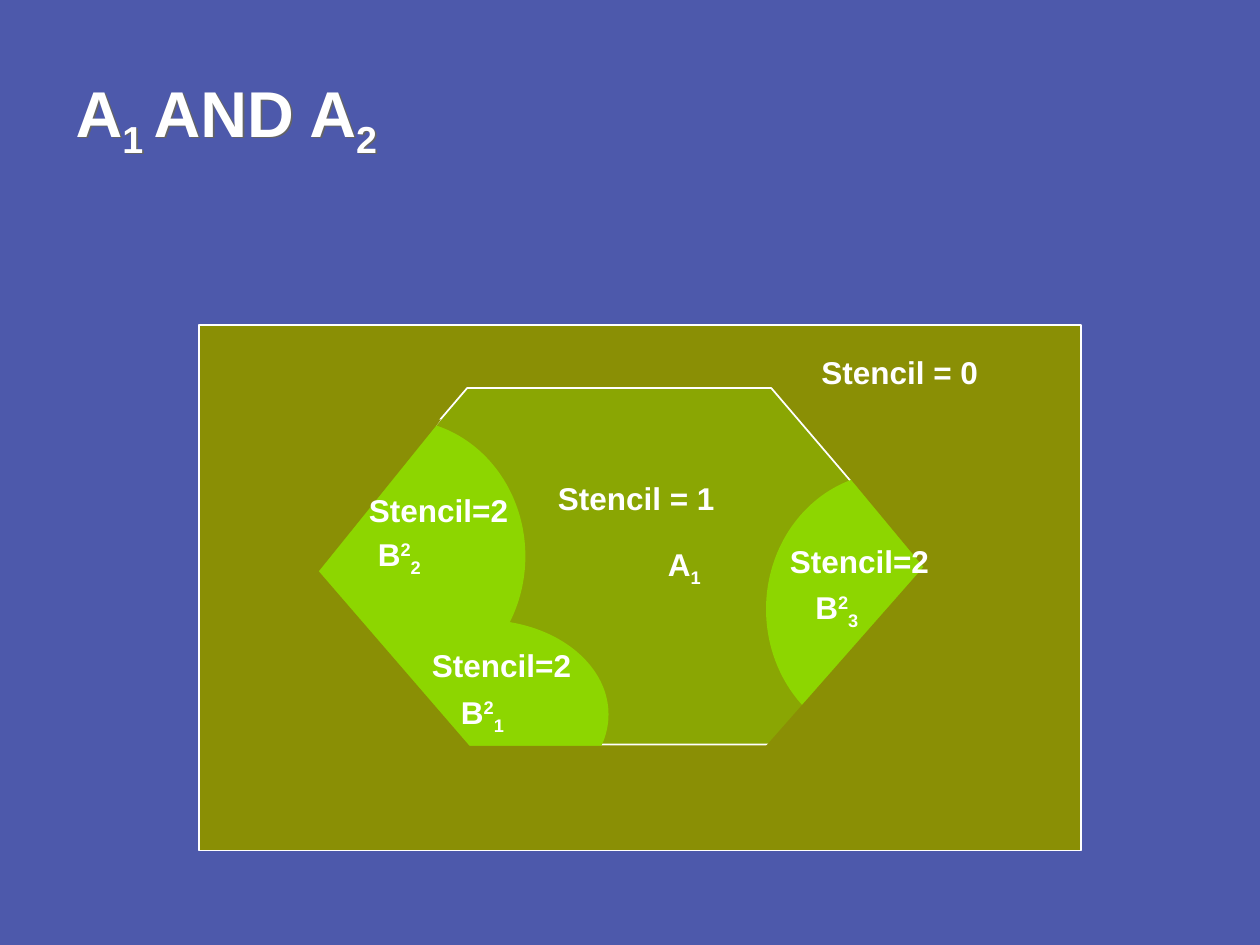
from lxml import etree
from pptx import Presentation
from pptx.dml.color import RGBColor
from pptx.enum import shapes, text
from pptx.oxml.ns import qn
from pptx.util import Inches, Pt

THEME = {
    "background": "4D59AB", "frame": "8A8F05", "region": "8DD600",
    "ink": "FFFFFF", "shadow": "646464",
    "font": "Arial", "title": 37, "body": 18, "line": 1,
}
SUB, SUPER = -25000, 30000

# Runs are (text, baseline) pairs.
TITLE = [("A", 0), ("1 ", SUB), ("AND A", 0), ("2", SUB)]
FRAME = (1.58, 2.58, 7, 4.17)
HEXAGON = (2.5, 3.08, 4.83, 2.83)
HEXAGON_NAME = [("A", 0), ("1", SUB)]
ELLIPSES = [  # index, box, alignment
    ("1", (2.83, 4.92, 2, 1.5), text.PP_ALIGN.CENTER),
    ("2", (2.17, 3.33, 2, 2.17), text.PP_ALIGN.CENTER),
    ("3", (6.08, 3.75, 2, 2.17), text.PP_ALIGN.LEFT),
]
# Frame-coloured masks trim the ellipses to the hexagon.
MASKS_LEFT = [
    [(3.5, 3.33), (2.42, 4.67), (1.92, 5.25), (2, 3.17)],
    [(2.5, 4.5), (4.08, 6.33), (1.92, 6.5)],
]
MASK_BOXES = [(1.75, 4.5, 0.75, 1), (3.17, 5.92, 1.67, 0.67)]
MASKS_RIGHT = [
    [(6.08, 5.92), (7.33, 4.5), (8.25, 4.5), (8.25, 5.92)],
    [(6.5, 3.5), (7.33, 4.5), (8.33, 4.5), (8.25, 3.5)],
]
LABEL_SIZE = (2.08, 0.4)
OUTER_LABELS = [("Stencil = 0", 6.42, 2.75), ("Stencil = 1", 4.33, 3.75)]
REGION_LABELS = [("Stencil=2", 3.33, 5.08), ("Stencil=2", 2.83, 3.85),
                 ("Stencil=2", 6.17, 4.25)]


def color(name):
    return RGBColor.from_string(THEME[name])


def write(tf, runs, size="body", align=text.PP_ALIGN.LEFT,
          anchor=text.MSO_ANCHOR.MIDDLE, wrap=False):
    tf.word_wrap = wrap
    tf.vertical_anchor = anchor
    p = tf.paragraphs[0]
    p.alignment = align
    for content, baseline in runs:
        r = p.add_run()
        r.text = content
        r.font.name, r.font.bold = THEME["font"], True
        r.font.size = Pt(THEME[size])
        r.font.color.rgb = color("ink")
        if baseline:
            r.font._element.set("baseline", str(baseline))


def add_shadow(sp):
    """Give an unfilled shape a shadow, which its text then casts."""
    sp.fill.background()
    effects = etree.SubElement(sp._element.spPr, qn("a:effectLst"))
    outer = etree.SubElement(effects, qn("a:outerShdw"),
                             dist="17961", dir="2700000")
    etree.SubElement(outer, qn("a:srgbClr"), val=THEME["shadow"])


def style(sp, fill, outlined=False):
    sp.shadow.inherit = False
    sp.fill.solid()
    sp.fill.fore_color.rgb = color(fill)
    if outlined:
        sp.line.color.rgb = color("ink")
        sp.line.width = Pt(THEME["line"])
    else:
        sp.line.fill.background()
    return sp


def add_preset(slide, kind, box, fill, outlined=False):
    sp = slide.shapes.add_shape(kind, *map(Inches, box))
    return style(sp, fill, outlined)


def add_mask(slide, points):
    start, *rest = [(Inches(x), Inches(y)) for x, y in points]
    builder = slide.shapes.build_freeform(*start)
    builder.add_line_segments(rest, close=True)
    style(builder.convert_to_shape(), "frame")


def add_label(slide, content, left, top):
    sp = slide.shapes.add_textbox(*map(Inches, (left, top, *LABEL_SIZE)))
    write(sp.text_frame, [(content, 0)], anchor=text.MSO_ANCHOR.TOP, wrap=True)


def add_hexagon(slide):
    sp = add_preset(slide, shapes.MSO_SHAPE.HEXAGON, HEXAGON, "region", True)
    sp.adjustments[0] = 0.427
    rgb = sp._element.spPr.find(qn("a:solidFill")).find(qn("a:srgbClr"))
    etree.SubElement(rgb, qn("a:alpha"), val="33000")
    sp.text_frame.margin_left = Inches(1.13)  # moves the name right of centre
    write(sp.text_frame, HEXAGON_NAME, align=text.PP_ALIGN.CENTER)


def main():
    prs = Presentation()
    prs.slide_width, prs.slide_height = Inches(10), Inches(7.5)
    slide = prs.slides.add_slide(prs.slide_layouts[5])
    slide.background.fill.solid()
    slide.background.fill.fore_color.rgb = color("background")

    title = slide.shapes.title
    title.left, title.top = Inches(0.5), Inches(0.3)
    title.width, title.height = Inches(7), Inches(1.25)
    write(title.text_frame, TITLE, size="title", wrap=True)
    add_shadow(title)

    add_preset(slide, shapes.MSO_SHAPE.RECTANGLE, FRAME, "frame", True)
    add_hexagon(slide)
    for label in OUTER_LABELS:
        add_label(slide, *label)
    for index, box, align in ELLIPSES:
        sp = add_preset(slide, shapes.MSO_SHAPE.OVAL, box, "region")
        write(sp.text_frame, [("B", 0), ("2", SUPER), (index, SUB)], align=align)
    for points in MASKS_LEFT:
        add_mask(slide, points)
    for box in MASK_BOXES:
        add_preset(slide, shapes.MSO_SHAPE.RECTANGLE, box, "frame")
    for points in MASKS_RIGHT:
        add_mask(slide, points)
    for label in REGION_LABELS:
        add_label(slide, *label)

    prs.save("out.pptx")


if __name__ == "__main__":
    main()
